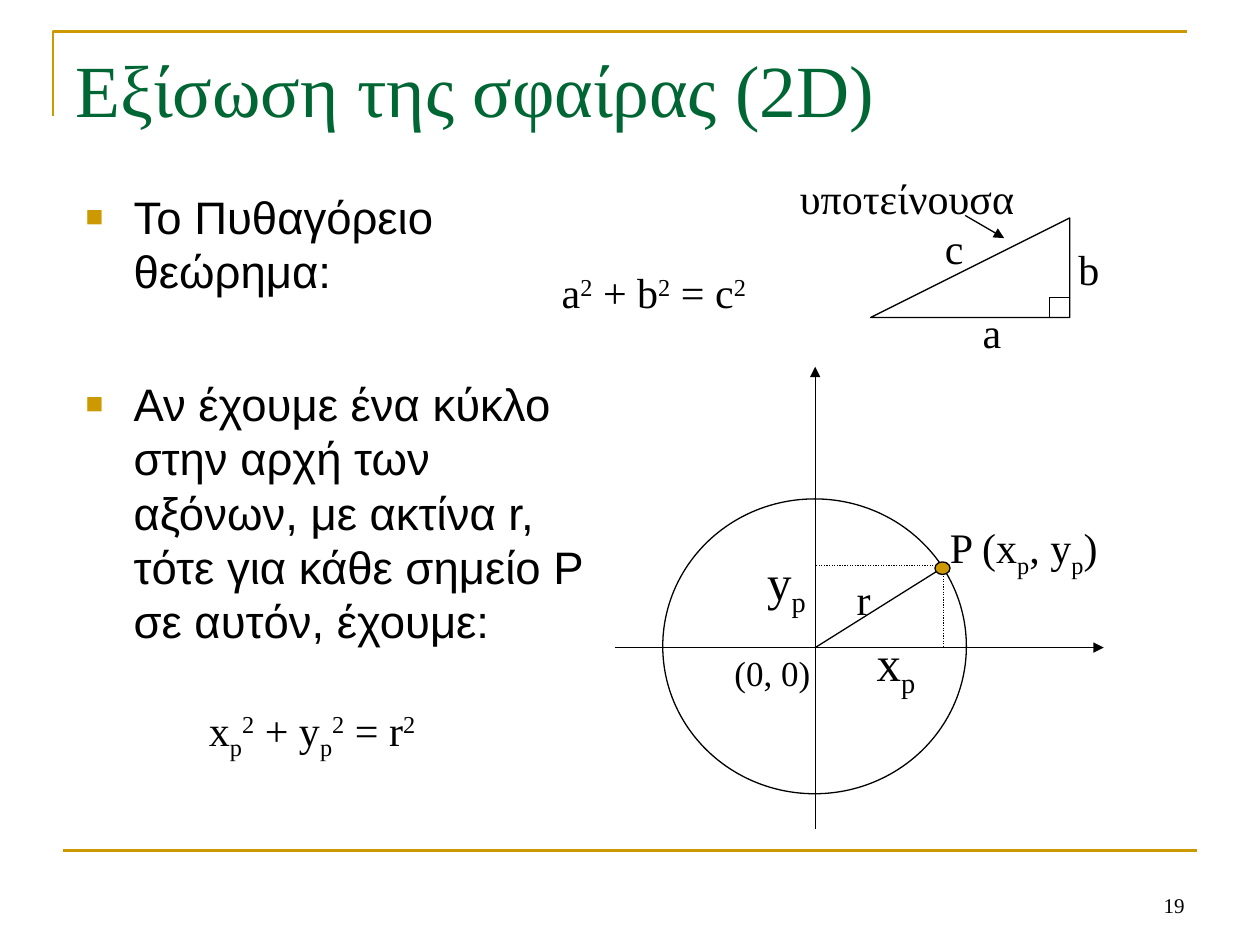
from lxml.etree import SubElement
from pptx import Presentation
from pptx.dml.color import RGBColor
from pptx.enum.dml import MSO_LINE
from pptx.enum.shapes import MSO_CONNECTOR, MSO_SHAPE
from pptx.enum.text import MSO_ANCHOR, MSO_AUTO_SIZE, PP_ALIGN
from pptx.oxml.ns import qn
from pptx.util import Inches, Pt

GOLD = RGBColor(0xCC, 0x99, 0x00)
GREEN = RGBColor(0x00, 0x66, 0x33)
BLACK = RGBColor(0, 0, 0)
SERIF = "Times New Roman"
SUP, SUB = 30000, -25000

prs = Presentation()
prs.slide_width, prs.slide_height = Inches(10), Inches(7.5)
slide = prs.slides.add_slide(prs.slide_layouts[1])
shapes = slide.shapes


def add_line(x1, y1, x2, y2, color=BLACK, width=0.75, arrow=False):
    line = shapes.add_connector(MSO_CONNECTOR.STRAIGHT, Inches(x1), Inches(y1), Inches(x2), Inches(y2))
    line.line.color.rgb = color
    line.line.width = Pt(width)
    if arrow:
        SubElement(line.line._get_or_add_ln(), qn("a:tailEnd"), type="triangle")
    SubElement(line._element.spPr, qn("a:effectLst"))
    return line


def add_label(left, top, width, height, runs, size=24, wrap=False):
    label = shapes.add_textbox(Inches(left), Inches(top), Inches(width), Inches(height))
    label.text_frame.word_wrap = wrap
    paragraph = label.text_frame.paragraphs[0]
    for text, baseline in runs:
        run = paragraph.add_run()
        run.text = text
        run.font.name, run.font.size = SERIF, Pt(size)
        run.font.color.rgb = BLACK
        if baseline:
            run.font._element.set("baseline", str(baseline))
    return label


# Frame lines and slide number
builder = shapes.build_freeform(Inches(0.42), Inches(0.92))
builder.add_line_segments([(Inches(0.42), Inches(0.25)), (Inches(9.42), Inches(0.25))], close=False)
corner = builder.convert_to_shape()
corner.shadow.inherit = False
corner.fill.background()
corner.line.color.rgb = GOLD
corner.line.width = Pt(1.5)
add_line(0.5, 6.75, 9.5, 6.75, GOLD, 1.5)

page_number = add_label(7.17, 6.83, 2.33, 0.5, [("19", 0)], size=12, wrap=True)
page_number.text_frame.vertical_anchor = MSO_ANCHOR.BOTTOM
page_number.text_frame.paragraphs[0].alignment = PP_ALIGN.RIGHT

# Title
title = shapes.title
title.left, title.top, title.width, title.height = Inches(0.5), Inches(0.3), Inches(9), Inches(1.25)
title.text_frame.auto_size = MSO_AUTO_SIZE.NONE
title.text_frame.vertical_anchor = MSO_ANCHOR.TOP
title.text_frame.margin_top = Inches(0.05)
heading = title.text_frame.paragraphs[0]
heading.alignment = PP_ALIGN.LEFT
run = heading.add_run()
run.text = "Εξίσωση της σφαίρας (2D)"
run.font.name, run.font.size = SERIF, Pt(42)
run.font.color.rgb = GREEN

# Bulleted statements
statements = slide.placeholders[1]
statements.left, statements.top = Inches(0.58), Inches(1.45)
statements.width, statements.height = Inches(4.17), Inches(4.5)
body = statements.text_frame
body.auto_size = MSO_AUTO_SIZE.NONE
body.margin_top = Inches(0.05)
for i, (text, space_before) in enumerate([
    ("Το Πυθαγόρειο θεώρημα:", 0),
    ("Αν έχουμε ένα κύκλο στην αρχή των αξόνων, με ακτίνα r, "
     "τότε για κάθε σημείο P σε αυτόν, έχουμε:", 45),
]):
    paragraph = body.add_paragraph() if i else body.paragraphs[0]
    paragraph.space_before = Pt(space_before)
    paragraph.line_spacing = Pt(31)
    properties = paragraph._p.get_or_add_pPr()
    properties.set("marL", str(Inches(0.38)))
    properties.set("indent", str(Inches(-0.38)))
    bullet_color = SubElement(properties, qn("a:buClr"))
    SubElement(bullet_color, qn("a:srgbClr"), val=str(GOLD))
    SubElement(properties, qn("a:buSzPct"), val="65000")
    SubElement(properties, qn("a:buFont"), typeface="Arial")
    SubElement(properties, qn("a:buChar"), char="■")
    run = paragraph.add_run()
    run.text = text
    run.font.name, run.font.size = "Arial", Pt(26)
    run.font.color.rgb = BLACK

# Right triangle, circle and point P
for kind, left, top, width, height in [
    (MSO_SHAPE.RIGHT_TRIANGLE, 6.91, 1.73, 1.58, 0.79),
    (MSO_SHAPE.OVAL, 5.26, 3.96, 2.41, 2.34),
    (MSO_SHAPE.OVAL, 7.42, 4.46, 0.12, 0.1),
]:
    figure = shapes.add_shape(kind, Inches(left), Inches(top), Inches(width), Inches(height))
    figure.shadow.inherit = False
    figure.fill.background()
    figure.line.color.rgb = BLACK
    figure.line.width = Pt(0.75)
    if kind == MSO_SHAPE.RIGHT_TRIANGLE:
        figure._element.spPr.xfrm.set("flipH", "1")
point_p = figure
point_p.fill.solid()
point_p.fill.fore_color.rgb = GOLD

# Right-angle mark and pointer to the hypotenuse
add_line(8.33, 2.52, 8.33, 2.36)
add_line(8.49, 2.36, 8.33, 2.36)
add_line(7.66, 1.71, 7.97, 1.89, arrow=True)

# Axes, radius and dotted projections of P
add_line(6.47, 6.58, 6.47, 2.91, arrow=True)
add_line(4.88, 5.14, 8.76, 5.14, arrow=True)
add_line(6.47, 5.14, 7.49, 4.5)
for x, y in [(7.49, 5.14), (6.47, 4.49)]:
    projection = add_line(7.49, 4.49, x, y)
    projection.line.dash_style = MSO_LINE.ROUND_DOT
point_p._element.getparent().append(point_p._element)

# Labels of the triangle
for left, top, width, text in [
    (7.7, 2.38, 0.35, "a"),
    (8.46, 1.88, 0.36, "b"),
    (7.4, 1.72, 0.35, "c"),
    (6.25, 1.32, 1.98, "υποτείνουσα"),
]:
    add_label(left, top, width, 0.5, [(text, 0)])

# Labels of the circle, with room for each subscript on its line
add_label(7.44, 4.09, 1.42, 0.56, [("P (x", 0), ("p", SUB), (", y", 0), ("p", SUB), (")", 0)])
add_label(6.86, 4.97, 0.6, 0.63, [("x", 0), ("p", SUB)], size=28)
add_label(5.99, 4.33, 0.6, 0.63, [("y", 0), ("p", SUB)], size=28)
add_label(5.73, 5.12, 0.85, 0.44, [("(0, 0)", 0)], size=20)
add_label(6.7, 4.5, 0.35, 0.5, [("r", 0)])

# Equations
add_label(4.36, 2.07, 1.7, 0.5,
          [("a", 0), ("2", SUP), (" + b", 0), ("2", SUP), (" = c", 0), ("2", SUP)])
add_label(1.56, 5.54, 1.88, 0.56,
          [("x", 0), ("p", SUB), ("2", SUP), (" + y", 0), ("p", SUB), ("2", SUP),
           (" = r", 0), ("2", SUP)])

prs.save("out.pptx")
